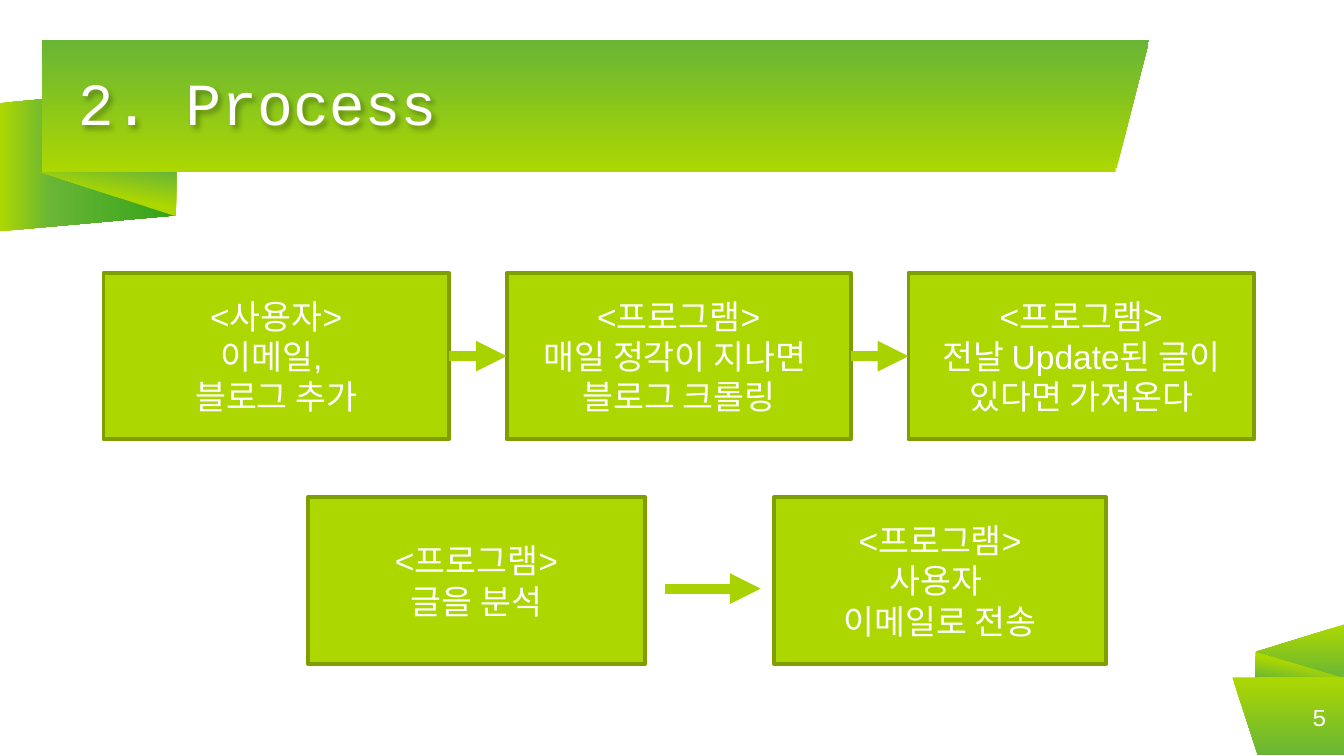
from lxml import etree
from pptx import Presentation
from pptx.dml.color import RGBColor
from pptx.enum.shapes import MSO_CONNECTOR, MSO_SHAPE
from pptx.enum.text import MSO_ANCHOR, PP_ALIGN
from pptx.oxml.ns import qn
from pptx.util import Inches, Pt

RECT, TRIANGLE = MSO_SHAPE.RECTANGLE, MSO_SHAPE.ISOSCELES_TRIANGLE
RIGHT_TRIANGLE, PARALLELOGRAM = MSO_SHAPE.RIGHT_TRIANGLE, MSO_SHAPE.PARALLELOGRAM
STRAIGHT = MSO_CONNECTOR.STRAIGHT
MIDDLE = MSO_ANCHOR.MIDDLE
LEFT, CENTER, RIGHT = PP_ALIGN.LEFT, PP_ALIGN.CENTER, PP_ALIGN.RIGHT

SLIDE_WIDTH = 10
SLIDE_HEIGHT = SLIDE_WIDTH * 9 / 16

COLORS = {"lime": "ACD701", "green": "69B636", "deep": "32A318",
          "border": "7F9F01", "arrow": "A9D300", "white": "FFFFFF",
          "shadow": "000000"}

BAND = [(0, "lime"), (100, "green")]
FOLD = [(0, "lime"), (47, "lime"), (100, "green")]
TAIL = [(0, "lime"), (29, "green"), (100, "deep")]

# preset, (left, top, width, height), stops, gradient angle (clockwise), format
RIBBONS = [
    (PARALLELOGRAM, (0.12, 0.53, 1.07, 1.31), TAIL, 90,
     {"rotation": 270, "flip": True, "adjust": 0.11}),
    (RIGHT_TRIANGLE, (0.3, 1.28, 1.01, 0.33), FOLD, 100, {"rotation": 180}),
    (RECT, (0.31, 0.3, 7.99, 0.98), BAND, 90, {"rotation": 180, "flip": True}),
    (TRIANGLE, (8.3, 0.3, 0.25, 0.98), BAND, 90, {"rotation": 180, "adjust": 1}),
    (TRIANGLE, (9.47, 4.52, 0.41, 0.66), BAND, 180, {"rotation": 270}),
    (RIGHT_TRIANGLE, (9.34, 4.85, 0.66, 0.2), FOLD, 100, {}),
    (RECT, (9.35, 5.04, 0.65, 0.58), BAND, 270, {"rotation": 180}),
    (TRIANGLE, (9.17, 5.04, 0.19, 0.58), BAND, 270,
     {"rotation": 180, "flip": True, "adjust": 1}),
]

TITLE = ("2. Process", (0.58, 0.3, 7.48, 0.98))
PAGE_NUMBER = ("5", (9.34, 5.04, 0.53, 0.58))

# \v is a line break inside a paragraph
ROWS = [
    {"top": 2.03, "arrow_y": 2.65, "arrow_gaps": (0, 0), "steps": [
        (0.77, 2.57, ["<사용자>", "이메일, ", "블로그 추가"]),
        (3.77, 2.56, ["<프로그램>", "매일 정각이 지나면 \v블로그 크롤링"]),
        (6.76, 2.57, ["<프로그램>", "전날 Update된 글이 있다면 가져온다"])]},
    {"top": 3.7, "arrow_y": 4.38, "arrow_gaps": (0.15, 0.1), "steps": [
        (2.29, 2.51, ["<프로그램>", "글을 분석"]),
        (5.76, 2.47, ["<프로그램>", "사용자 ", "이메일로 전송"])]},
]
STEP_HEIGHT = 1.24


def rgb(name):
    return RGBColor.from_string(COLORS[name])


def fill_gradient(shape, stops, angle):
    """Fill with any number of stops; the angle runs clockwise."""
    shape.fill.gradient()
    shape.fill.gradient_angle = (360 - angle) % 360
    stop_list = shape._element.spPr.find(".//" + qn("a:gsLst"))
    for stop in list(stop_list):
        stop_list.remove(stop)
    for percent, color in stops:
        stop = etree.SubElement(stop_list, qn("a:gs"), pos=str(percent * 1000))
        etree.SubElement(stop, qn("a:srgbClr"), val=COLORS[color])


def add_ribbon(slide, preset, box, stops, angle, look):
    ribbon = slide.shapes.add_shape(preset, *map(Inches, box))
    ribbon.shadow.inherit = False
    ribbon.line.fill.background()
    ribbon.rotation = look.get("rotation", 0)
    if "adjust" in look:
        ribbon.adjustments[0] = look["adjust"]
    if look.get("flip"):
        ribbon._element.spPr.find(qn("a:xfrm")).set("flipH", "1")
    fill_gradient(ribbon, stops, angle)


def write(shape, text, size, font, align):
    frame = shape.text_frame
    frame.text = text
    frame.word_wrap = True
    frame.vertical_anchor = MIDDLE
    for paragraph in frame.paragraphs:
        paragraph.alignment = align
        for run in paragraph.runs:
            for key, value in {"size": Pt(size), "name": font}.items():
                setattr(run.font, key, value)
            run.font.color.rgb = rgb("white")


def add_label(slide, text, box, size, align):
    label = slide.shapes.add_textbox(*map(Inches, box))
    for side in ("left", "top", "right", "bottom"):
        setattr(label.text_frame, "margin_" + side, 0)
    write(label, text, size, "Courier New", align)
    return label


def add_soft_shadow(label):
    """Shadow on an unfilled box, which falls from its letters."""
    effects = etree.SubElement(label._element.spPr, qn("a:effectLst"))
    shadow = etree.SubElement(effects, qn("a:outerShdw"), blurRad="38100",
                              dist="25400", dir="2700000")
    color = etree.SubElement(shadow, qn("a:srgbClr"), val=COLORS["shadow"])
    etree.SubElement(color, qn("a:alpha"), val="30000")


def add_step(slide, left, top, width, lines):
    step = slide.shapes.add_shape(
        RECT, *map(Inches, (left, top, width, STEP_HEIGHT)))
    step.shadow.inherit = False
    step.fill.solid()
    step.fill.fore_color.rgb = rgb("lime")
    step.line.color.rgb = rgb("border")
    step.line.width = Pt(2)
    write(step, "\n".join(lines), 18, "Arial", CENTER)


def add_arrow(slide, start, end, y):
    arrow = slide.shapes.add_connector(
        STRAIGHT, *map(Inches, (start, y, end, y)))
    arrow.line.color.rgb = rgb("arrow")
    arrow.line.width = Pt(5.5)
    outline = arrow._element.spPr.find(qn("a:ln"))
    etree.SubElement(outline, qn("a:tailEnd"), type="triangle")
    etree.SubElement(arrow._element.spPr, qn("a:effectLst"))


def main():
    deck = Presentation()
    deck.slide_width, deck.slide_height = Inches(SLIDE_WIDTH), Inches(SLIDE_HEIGHT)
    slide = deck.slides.add_slide(deck.slide_layouts[6])

    for ribbon in RIBBONS:
        add_ribbon(slide, *ribbon)

    title = add_label(slide, *TITLE, 32, LEFT)
    title.text_frame.paragraphs[0].line_spacing = 0.9
    add_soft_shadow(title)
    add_label(slide, *PAGE_NUMBER, 13, RIGHT)

    for row in ROWS:
        steps = row["steps"]
        for left, width, lines in steps:
            add_step(slide, left, row["top"], width, lines)
        before, after = row["arrow_gaps"]
        for (left, width, _), (next_left, _, _) in zip(steps, steps[1:]):
            add_arrow(slide, left + width + before, next_left - after,
                      row["arrow_y"])

    deck.save("out.pptx")


if __name__ == "__main__":
    main()
